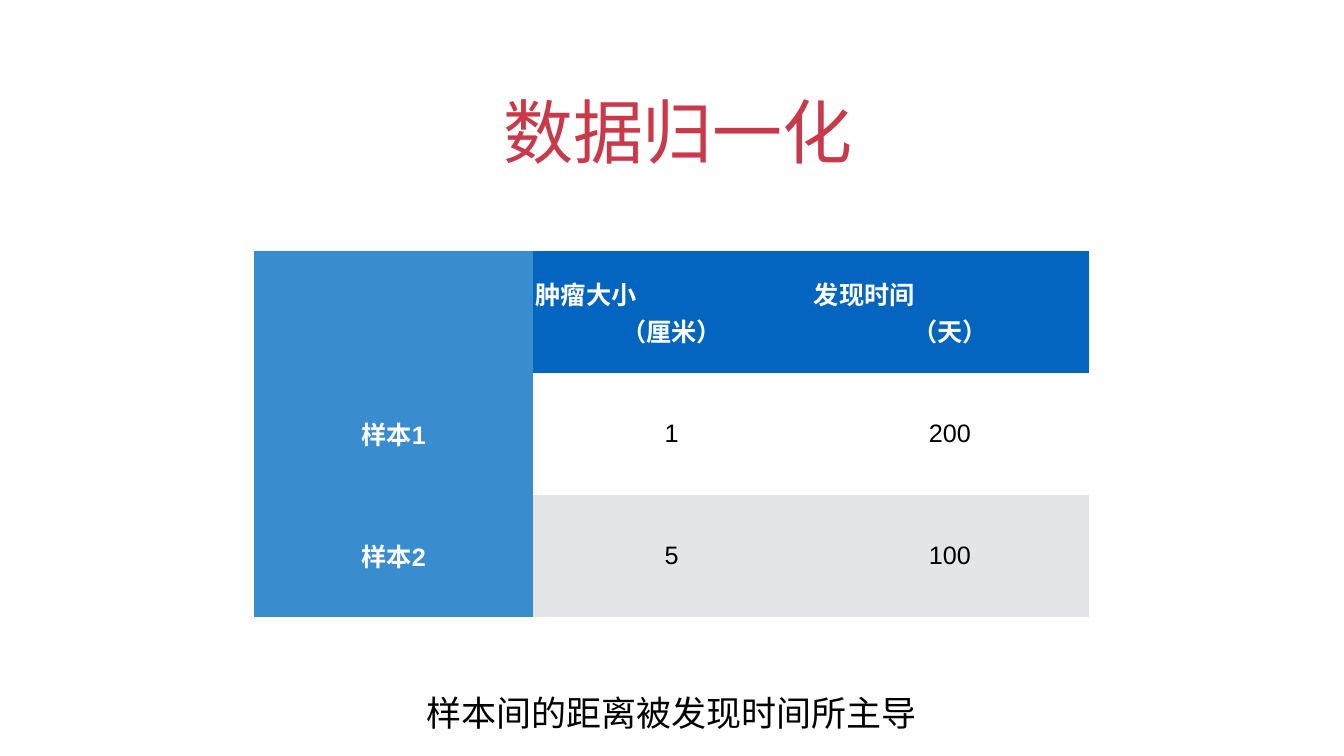
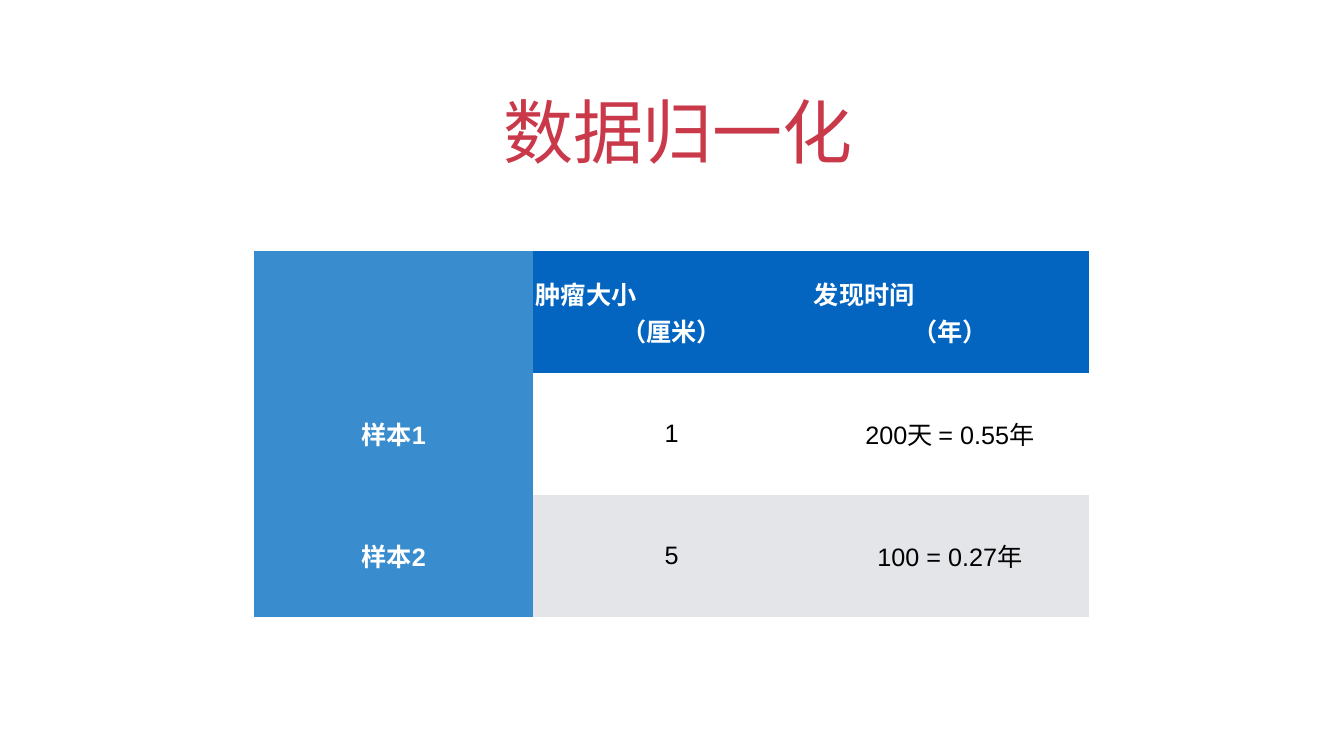
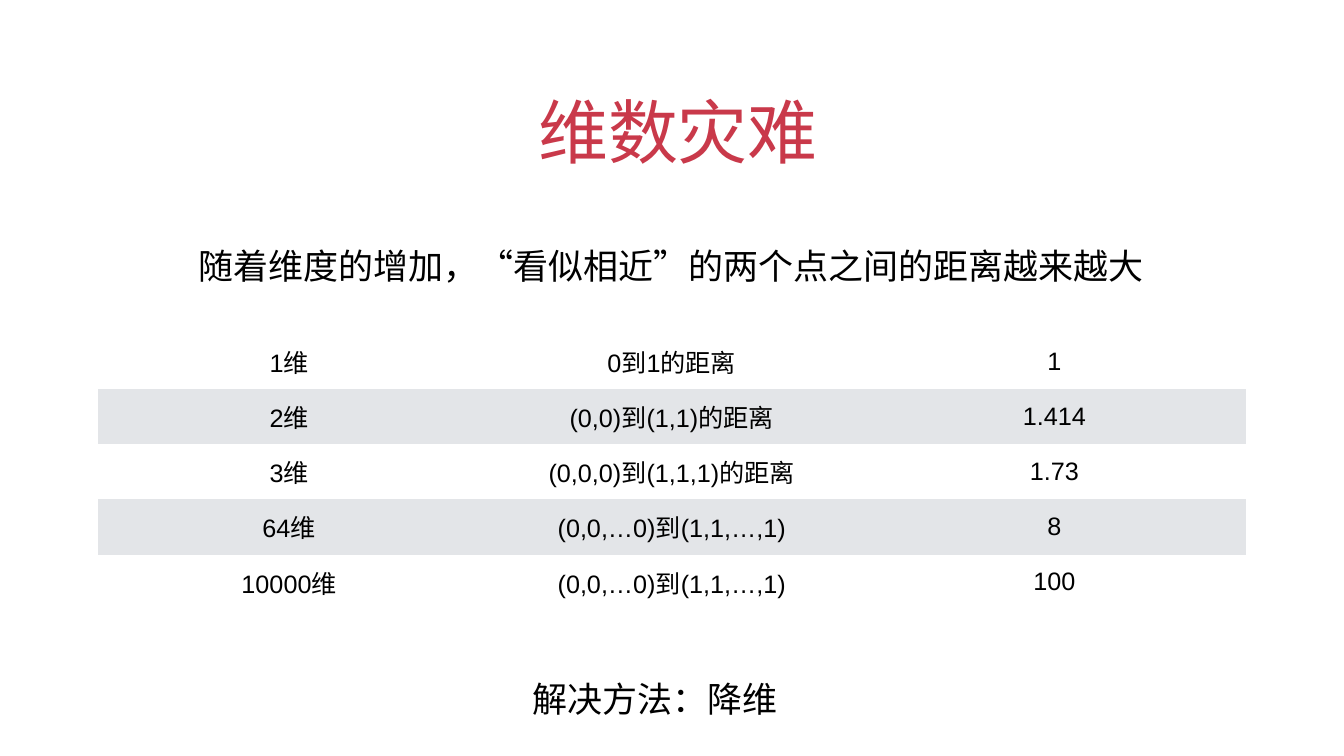
from pptx import Presentation
from pptx.dml.color import RGBColor
from pptx.enum.text import MSO_ANCHOR, MSO_AUTO_SIZE, PP_ALIGN
from pptx.util import Inches, Pt

CENTER = PP_ALIGN.CENTER
MIDDLE, BOTTOM = MSO_ANCHOR.MIDDLE, MSO_ANCHOR.BOTTOM
NO_FIT, GROW = MSO_AUTO_SIZE.NONE, MSO_AUTO_SIZE.SHAPE_TO_FIT_TEXT

FONT = "Arial"
INSET = Inches(0.06)
PLAIN_TABLE = "{2D5ABB26-0587-4C30-8999-92F81FD0307C}"  # no style, no grid
COLORS = {
    "title": "C9394A",
    "text": "000000",
    "white": "FFFFFF",
    "header": "0365C0",
    "label": "398CCE",
    "band": "E3E5E8",
}

# Boxes: left, top, width, height
TITLE_BOX = (1.94, 1.27, 22.78, 2.22)
SAMPLE_BOX = (5.05, 4.98, 16.56, 7.26)
DISTANCE_BOX = (1.94, 6.62, 22.78, 5.48)


def color(name):
    return RGBColor.from_string(COLORS[name])


def inches(box):
    return [Inches(v) for v in box]


def set_insets(target):
    target.margin_left = target.margin_right = INSET
    target.margin_top = target.margin_bottom = INSET


def write(tf, text, size, color_name, bold=False):
    """Write one centred paragraph and return it."""
    p = tf.paragraphs[0]
    p.alignment = CENTER
    r = p.add_run()
    r.text = text
    r.font.name = FONT
    r.font.size = Pt(size)
    r.font.bold = bold
    r.font.color.rgb = color(color_name)
    return p


def add_titled_slide(prs, title):
    s = prs.slides.add_slide(prs.slide_layouts[0])
    subtitle = s.placeholders[1].element
    subtitle.getparent().remove(subtitle)

    sp = s.shapes.title
    sp.left, sp.top, sp.width, sp.height = inches(TITLE_BOX)
    tf = sp.text_frame
    set_insets(tf)
    tf.word_wrap = True
    tf.auto_size = NO_FIT
    tf.vertical_anchor = BOTTOM
    p = write(tf, title, 100, "title")
    p.level = 1
    pPr = p._p.get_or_add_pPr()
    pPr.set("marL", "0")
    pPr.set("indent", str(Inches(0.25)))
    return s


def add_statement(s, box, text):
    tf = s.shapes.add_textbox(*inches(box)).text_frame
    set_insets(tf)
    tf.word_wrap = True
    tf.auto_size = GROW
    tf.vertical_anchor = MIDDLE
    write(tf, text, 50, "text").line_spacing = 1.5


def add_grid(s, box, rows, headed=False):
    """Banded table; a headed one also colours its first row and column."""
    table = s.shapes.add_table(len(rows), len(rows[0]), *inches(box)).table
    table._tbl.tblPr.find("{*}tableStyleId").text = PLAIN_TABLE
    table.first_row = table.first_col = headed
    table.horz_banding = False
    for i, row in enumerate(rows):
        for j, text in enumerate(row):
            if headed and j == 0:
                fill = "label"
            elif headed and i == 0:
                fill = "header"
            else:
                # Bands count from the first body row
                fill = "band" if (i - headed) % 2 else "white"
            strong = fill in ("label", "header")
            cell = table.cell(i, j)
            cell.fill.solid()
            cell.fill.fore_color.rgb = color(fill)
            set_insets(cell)
            cell.vertical_anchor = MIDDLE
            if text:
                write(cell.text_frame, text, 36, "white" if strong else "text", strong)


def add_sample_slide(prs, unit, times):
    s = add_titled_slide(prs, "数据归一化")
    rows = [
        ("", "肿瘤大小\n（厘米）", f"发现时间\n（{unit}）"),
        ("样本1", "1", times[0]),
        ("样本2", "5", times[1]),
    ]
    add_grid(s, SAMPLE_BOX, rows, headed=True)
    return s


def add_dimension_slide(prs):
    s = add_titled_slide(prs, "维数灾难")
    add_statement(s, (2.22, 4.51, 22.22, 1.08),
                  "随着维度的增加，“看似相近”的两个点之间的距离越来越大")
    add_grid(s, DISTANCE_BOX, [
        ("1维", "0到1的距离", "1"),
        ("2维", "(0,0)到(1,1)的距离", "1.414"),
        ("3维", "(0,0,0)到(1,1,1)的距离", "1.73"),
        ("64维", "(0,0,…0)到(1,1,…,1)", "8"),
        ("10000维", "(0,0,…0)到(1,1,…,1)", "100"),
    ])
    add_statement(s, (1.89, 13.12, 22.22, 1.08), "解决方法：降维")


def main():
    prs = Presentation()
    prs.slide_width, prs.slide_height = Inches(26.67), Inches(15)

    # Samples measured in days, then in years
    s = add_sample_slide(prs, "天", ("200", "100"))
    add_statement(s, (7.2, 13.39, 12.26, 1.08), "样本间的距离被发现时间所主导")
    add_sample_slide(prs, "年", ("200天 = 0.55年", "100 = 0.27年"))

    # Distance against dimension
    add_dimension_slide(prs)
    prs.save("out.pptx")


if __name__ == "__main__":
    main()
